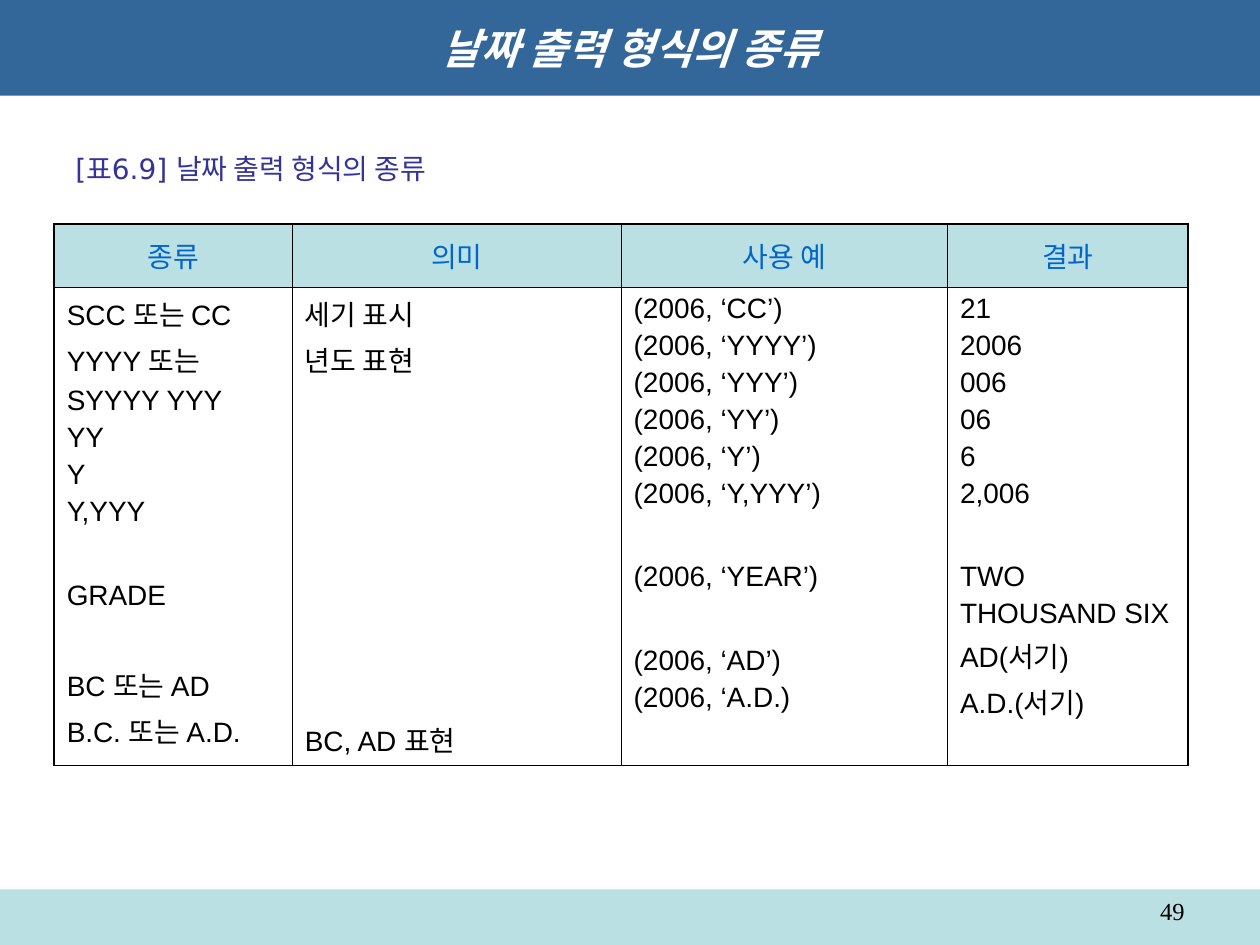
"""Build a slide listing the date output formats in a table."""
from lxml.etree import SubElement
from pptx import Presentation
from pptx.dml.color import RGBColor as RGB
from pptx.enum.shapes import MSO_SHAPE as Shape
from pptx.enum.text import MSO_ANCHOR as Anchor, PP_ALIGN as Align
from pptx.oxml.ns import qn
from pptx.util import Inches, Pt

COLORS = {"band": "336699", "pale": "BBE0E3", "title": "FFFFFF", "header": "0066CC",
          "caption": "333399", "body": "000000", "border": "000000"}
WIDTH, HEIGHT = 10, 7.5
COLUMNS = [1.89, 2.61, 2.59, 1.91]
ROWS = [0.5, 3.59]
LINE_GAP, GROUP_GAP, MEANING_GAP = 3.3, 30.2, 193.6
HEADERS = ["종류", "의미", "사용 예", "결과"]
ENTRIES = [
    ["SCC 또는 CC", "YYYY 또는", "SYYYY YYY", "YY", "Y", "Y,YYY", "GRADE",
     "BC 또는 AD", "B.C. 또는 A.D."],
    ["세기 표시", "년도 표현", "BC, AD 표현"],
    ["(2006, ‘CC’)", "(2006, ‘YYYY’)", "(2006, ‘YYY’)", "(2006, ‘YY’)", "(2006, ‘Y’)",
     "(2006, ‘Y,YYY’)", "(2006, ‘YEAR’)", "(2006, ‘AD’)", "(2006, ‘A.D.)"],
    ["21", "2006", "006", "06", "6", "2,006", "TWO", "THOUSAND SIX", "AD(서기)",
     "A.D.(서기)"],
]
GAPS = [{6: GROUP_GAP, 7: GROUP_GAP}, {2: MEANING_GAP},
        {6: GROUP_GAP, 7: GROUP_GAP}, {6: GROUP_GAP}]


def write(frame, text, size, font, color, align=Align.LEFT, bold=False, gaps={}):
    frame.text = text
    for index, paragraph in enumerate(frame.paragraphs):
        paragraph.alignment = align
        if index:
            paragraph.space_before = Pt(gaps.get(index, LINE_GAP))
        for run in paragraph.runs:
            run.font.size = Pt(size)
            run.font.name = font
            run.font.bold = run.font.italic = bold
            run.font.color.rgb = RGB.from_string(COLORS[color])


def border(cell, edges):
    properties = cell._tc.get_or_add_tcPr()
    for side, outer in edges.items():
        line = SubElement(properties, qn(f"a:ln{side}"), w=str(Pt(1.08 if outer else 0.45)))
        fill = SubElement(line, qn("a:solidFill"))
        SubElement(fill, qn("a:srgbClr"), val=COLORS["border"])


deck = Presentation()
deck.slide_width, deck.slide_height = Inches(WIDTH), Inches(HEIGHT)
slide = deck.slides.add_slide(deck.slide_layouts[6])
shapes = slide.shapes

bands = []
for top, height, color in [(7.06, 0.44, "pale"), (0, 0.76, "band")]:
    band = shapes.add_shape(Shape.RECTANGLE, 0, Inches(top), deck.slide_width, Inches(height))
    band.shadow.inherit = False
    band.fill.solid()
    band.fill.fore_color.rgb = RGB.from_string(COLORS[color])
    band.line.fill.background()
    bands.append(band)
footer, heading = bands
heading.text_frame.vertical_anchor = Anchor.MIDDLE
write(heading.text_frame, "날짜 출력 형식의 종류", 24, "DejaVu Sans", "title", Align.CENTER, True)

formats = shapes.add_table(2, 4, Inches(0.43), Inches(1.78),
                           Inches(sum(COLUMNS)), Inches(sum(ROWS))).table
formats.horz_banding = False
for row, height in zip(formats.rows, ROWS):
    row.height = Inches(height)
for index, width in enumerate(COLUMNS):
    formats.columns[index].width = Inches(width)
    header, body = formats.cell(0, index), formats.cell(1, index)
    for cell, is_header in [(header, True), (body, False)]:
        border(cell, {"L": index == 0, "R": index == len(COLUMNS) - 1,
                      "T": is_header, "B": not is_header})
    header.fill.solid()
    header.fill.fore_color.rgb = RGB.from_string(COLORS["pale"])
    header.vertical_anchor = Anchor.MIDDLE
    body.fill.background()
    write(header.text_frame, HEADERS[index], 16, "Arial", "header", Align.CENTER)
    write(body.text_frame, "\n".join(ENTRIES[index]), 16, "Arial", "body", gaps=GAPS[index])

caption = shapes.add_textbox(Inches(0.5), Inches(1.15), Inches(3.24), Inches(0.37)).text_frame
caption.word_wrap = False
caption.vertical_anchor = Anchor.MIDDLE
write(caption, "[표6.9] 날짜 출력 형식의 종류", 16, "DejaVu Sans", "caption")

page = shapes.add_textbox(Inches(7.17), Inches(7.06), Inches(2.33), Inches(0.29)).text_frame
page.word_wrap = True
write(page, "49", 14, "Times New Roman", "body", Align.RIGHT)

deck.save("out.pptx")
